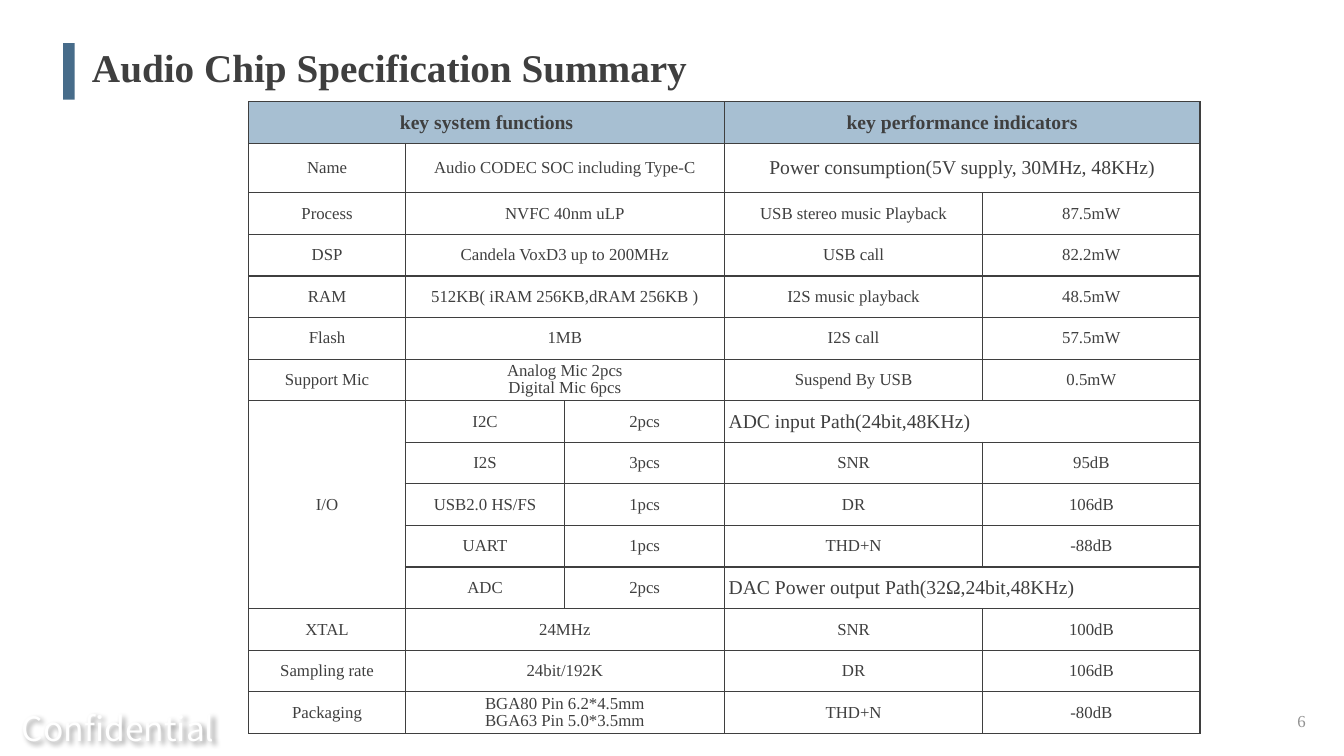
from pptx import Presentation
from pptx.dml.color import RGBColor
from pptx.enum.shapes import MSO_SHAPE
from pptx.enum.text import MSO_ANCHOR, MSO_AUTO_SIZE, PP_ALIGN
from pptx.oxml import parse_xml
from pptx.oxml.ns import nsdecls
from pptx.util import Pt

RECT = MSO_SHAPE.RECTANGLE
MIDDLE = MSO_ANCHOR.MIDDLE
NO_FIT, GROW = MSO_AUTO_SIZE.NONE, MSO_AUTO_SIZE.SHAPE_TO_FIT_TEXT
LEFT, CENTER, RIGHT = PP_ALIGN.LEFT, PP_ALIGN.CENTER, PP_ALIGN.RIGHT
PX = 9525
INK = "3F3F3F"
TOP, HEIGHT, NAME_ROW = 97, 602, 47


def write(tf, text, size=12, color=INK, bold=False, align=CENTER,
          font="Times New Roman", spacing=None):
    tf.text = text
    tf.vertical_anchor = MIDDLE
    for p in tf.paragraphs:
        p.alignment = align
        p.line_spacing = spacing
        for r in p.runs:
            r.font.name = font
            r.font.size = Pt(size)
            r.font.bold = bold
            r.font.color.rgb = RGBColor.from_string(color)


def add_spec_table(s, left, widths, rows):
    tbl = s.shapes.add_table(len(rows), len(widths), left * PX, TOP * PX,
                             sum(widths) * PX, HEIGHT * PX).table
    tbl.first_row = tbl.horz_banding = False
    for col, width in zip(tbl.columns, widths):
        col.width = width * PX
    for i, row in enumerate(tbl.rows):
        pitch = (HEIGHT - NAME_ROW) / (len(rows) - 1)
        row.height = NAME_ROW * PX if i == 1 else int(pitch * PX)
    for cell in tbl.iter_cells():
        cell.margin_left = cell.margin_right = 0
        cell.margin_top = cell.margin_bottom = 0
        tcPr = cell._tc.get_or_add_tcPr()
        for side in ("lnL", "lnR", "lnT", "lnB"):
            tcPr.append(parse_xml(
                f'<a:{side} {nsdecls("a")} w="12700"><a:solidFill>'
                f'<a:srgbClr val="{INK}"/></a:solidFill></a:{side}>'))
        cell.fill.background()
    for i, texts in enumerate(rows):
        last = len(texts) - 1
        for j, text in enumerate(texts):
            cell = tbl.cell(i, j)
            if j == last and len(texts) < len(widths):
                cell.merge(tbl.cell(i, len(widths) - 1))
            if not text:
                continue
            section = len(texts) == 1
            align = LEFT if section and i > 1 else CENTER
            if align == LEFT:
                cell.margin_left = 4 * PX
            write(cell.text_frame, text, size=14 if section else 12, bold=i == 0,
                  align=align, spacing=0.93 if "\n" in text else None)
            cell.vertical_anchor = MIDDLE
    header = tbl.cell(0, 0)
    header.fill.solid()
    header.fill.fore_color.rgb = RGBColor.from_string("A7BFD2")
    return tbl


prs = Presentation()
prs.slide_width, prs.slide_height = 1280 * PX, 720 * PX
s = prs.slides.add_slide(prs.slide_layouts[5])

title = s.shapes.title
title.left, title.top, title.width, title.height = [v * PX for v in (78, 37, 681, 54)]
write(title.text_frame, "Audio Chip Specification Summary", size=28, bold=True, align=LEFT)
title.text_frame.auto_size = NO_FIT

for box, color in (((60, 41, 11, 54), "476C8A"), ((1, 663, 166, 55), "FFFFFF")):
    sp = s.shapes.add_shape(RECT, *[v * PX for v in box])
    sp.shadow.inherit = False
    sp.fill.solid()
    sp.fill.fore_color.rgb = RGBColor.from_string(color)
    sp.line.fill.background()

number = s.shapes.add_textbox(965 * PX, 667 * PX, 288 * PX, 38 * PX)
number.text_frame.word_wrap = True
write(number.text_frame, "6", color="939393", align=RIGHT)

label = s.shapes.add_textbox(11 * PX, 666 * PX, 203 * PX, 54 * PX)
tf = label.text_frame
tf.word_wrap = False
tf.auto_size = GROW
tf.margin_left = tf.margin_right = tf.margin_top = tf.margin_bottom = 8 * PX
write(tf, "Confidential", size=24, color="FFFFFF", font="Noto Sans CJK SC")
label._element.spPr.append(parse_xml(
    f'<a:effectLst {nsdecls("a")}><a:outerShdw blurRad="50800" dist="38100" dir="2700000">'
    '<a:srgbClr val="000000"><a:alpha val="40000"/></a:srgbClr></a:outerShdw></a:effectLst>'))

add_spec_table(s, 690, [246, 207], [
    ["key performance indicators"],
    ["Power consumption(5V supply, 30MHz, 48KHz)"],
    ["USB stereo music Playback", "87.5mW"],
    ["USB call", "82.2mW"],
    ["I2S music playback", "48.5mW"],
    ["I2S call", "57.5mW"],
    ["Suspend By USB", "0.5mW"],
    ["ADC input Path(24bit,48KHz)"],
    ["SNR", "95dB"],
    ["DR", "106dB"],
    ["THD+N", "-88dB"],
    ["DAC Power output Path(32Ω,24bit,48KHz)"],
    ["SNR", "100dB"],
    ["DR", "106dB"],
    ["THD+N", "-80dB"],
])

functions = add_spec_table(s, 237, [149, 152, 152], [
    ["key system functions"],
    ["Name", "Audio CODEC SOC including Type-C"],
    ["Process", "NVFC 40nm uLP"],
    ["DSP", "Candela VoxD3 up to 200MHz"],
    ["RAM", "512KB( iRAM 256KB,dRAM 256KB )"],
    ["Flash", "1MB"],
    ["Support Mic", "Analog Mic 2pcs\nDigital Mic 6pcs"],
    ["I/O", "I2C", "2pcs"],
    ["", "I2S", "3pcs"],
    ["", "USB2.0 HS/FS", "1pcs"],
    ["", "UART", "1pcs"],
    ["", "ADC", "2pcs"],
    ["XTAL", "24MHz"],
    ["Sampling rate", "24bit/192K"],
    ["Packaging", "BGA80 Pin 6.2*4.5mm\nBGA63 Pin 5.0*3.5mm"],
])
functions.cell(7, 0).merge(functions.cell(11, 0))

prs.save("out.pptx")
